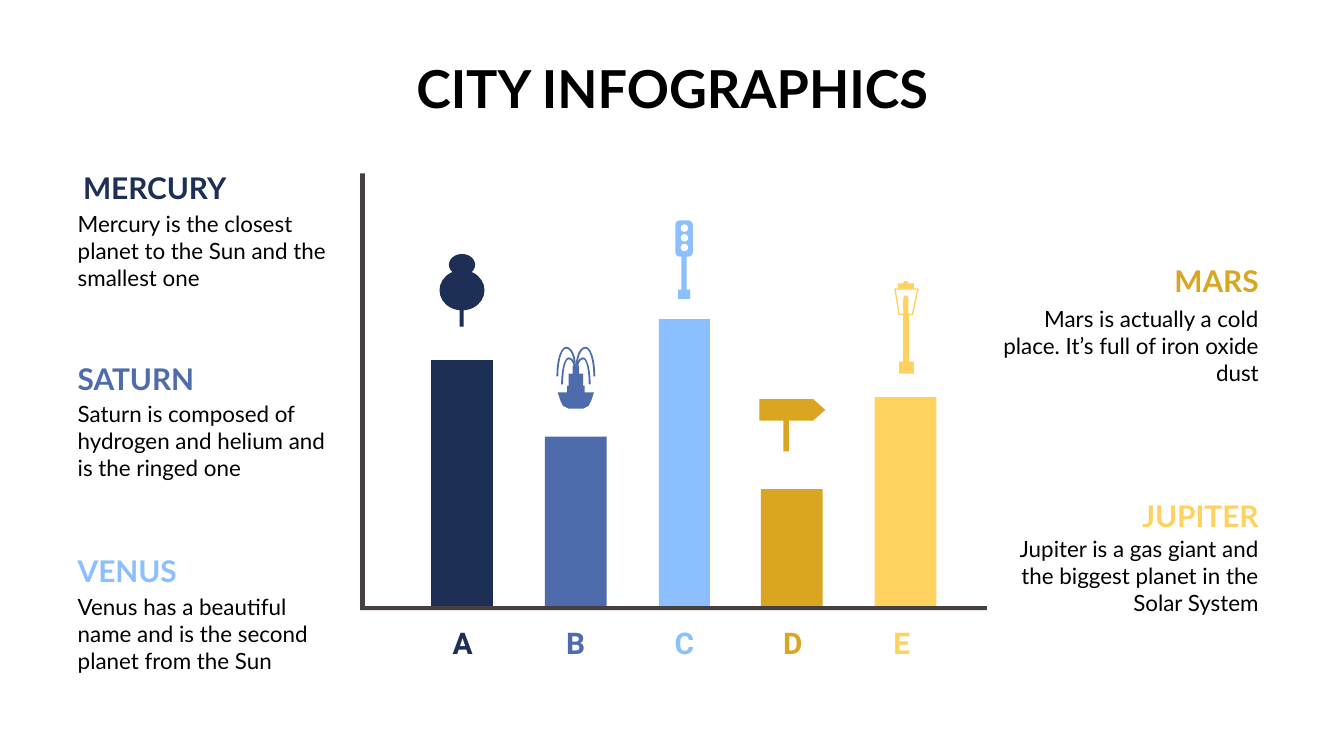
import math
from pptx import Presentation
from pptx import util as u
from pptx.dml.color import RGBColor
from pptx.enum import shapes, text

# Theme: colours, fonts and type sizes
THEME = {
    "navy": "1E2F55", "blue": "4E6BAC", "sky": "8BBFFF", "ochre": "DAA622",
    "yellow": "FFD25F", "axis": "483F42", "black": "000000", "white": "FFFFFF",
    "font": "Lato", "label_font": "Roboto", "title": 28, "heading": 16, "body": 12,
}

# Grid: 100 columns of square cells across the slide
COLS, ROWS = 100, 56.25
CELL = u.Inches(10) / COLS
BASELINE = 45.1

# Content
TITLE = "CITY INFOGRAPHICS"
# letter, colour, column centre, bar offset, bar width, bar height
BARS = [
    ("A", "navy", 34.43, -0.05, 4.6, 18.3),
    ("B", "blue", 42.84, 0, 4.6, 12.6),
    ("C", "sky", 50.92, 0, 3.8, 21.35),
    ("D", "ochre", 59, -0.08, 4.6, 8.7),
    ("E", "yellow", 67.1, 0.28, 4.6, 15.55),
]
# name, colour, description, side, heading indent, heading row, gap to description
PLANETS = [
    ("MERCURY", "navy", "Mercury is the closest planet to the Sun and the smallest one",
     "left", 0.4, 11.2, 3.45),
    ("SATURN", "blue", "Saturn is composed of hydrogen and helium and is the ringed one",
     "left", 0, 25.4, 3.4),
    ("VENUS", "sky", "Venus has a beautiful name and is the second planet from the Sun",
     "left", 0, 39.7, 3.45),
    ("MARS", "ochre", "Mars is actually a cold place. It’s full of iron oxide dust",
     "right", 0, 18.15, 3.55),
    ("JUPITER", "yellow", "Jupiter is a gas giant and the biggest planet in the Solar System",
     "right", 0, 35.6, 3.25),
]
LEFT_EDGE, RIGHT_EDGE = 4.8, 94.64
HEADING_W, BODY_W = 14.3, 21.1
AXIS = [(26.8, 12.9), (26.8, 45.4), (73.43, 45.4), (73.43, 45.1), (27.15, 45.1), (27.15, 12.9)]

# Icon parts: (kind, colour, left, top, width, height), back to front
RECT, OVAL = shapes.MSO_SHAPE.RECTANGLE, shapes.MSO_SHAPE.OVAL
ROUND, SIGN = shapes.MSO_SHAPE.ROUNDED_RECTANGLE, shapes.MSO_SHAPE.PENTAGON
PILL = shapes.MSO_SHAPE.FLOWCHART_TERMINATOR
ICONS = {
    "tree": [(RECT, "navy", 34.2, 20.9, 0.3, 3.4), (OVAL, "navy", 32.7, 20.1, 3.35, 3),
             (OVAL, "navy", 33.4, 18.9, 1.95, 1.6)],
    "traffic light": [(RECT, "sky", 50.7, 17, 0.4, 5.1), (RECT, "sky", 50.45, 21.55, 0.9, 0.7),
                      (ROUND, "sky", 50.25, 16.4, 1.3, 2.7)]
                     + [(OVAL, "white", 50.65, 16.7 + 0.72 * i, 0.55, 0.55) for i in range(3)],
    "street lamp": [(PILL, "yellow", 67.2, 22, 0.4, 1.4), (RECT, "yellow", 67.2, 23.3, 0.45, 4.3),
                    (RECT, "yellow", 66.9, 26.9, 1.1, 0.9), (RECT, "yellow", 66.8, 21.1, 1.2, 0.4),
                    (OVAL, "yellow", 67.2, 20.9, 0.4, 0.4)],
    "signpost": [(RECT, "ochre", 58.3, 31, 0.4, 2.6), (SIGN, "ochre", 56.5, 29.7, 4.9, 1.6)],
    "fountain": [(RECT, "blue", 42.6, 27.2, 0.5, 0.7), (RECT, "blue", 42.3, 27.8, 1.1, 0.95),
                 (RECT, "blue", 42.2, 28.7, 1.3, 0.6)],
}
CORNERS = {ROUND: 0.25, SIGN: 0.56}
LAMP_GLASS = [(67.9, 23.4), (66.9, 23.4), (66.6, 21.5), (68.3, 21.5)]
BASIN = [(41.5, 29.2), (41.7, 29.8), (41.9, 30.2), (42.3, 30.4),
         (43.4, 30.4), (43.8, 30.2), (44, 29.8), (44.2, 29.2)]
FOUNTAIN_X = 42.85
# apex row, foot row at the centre, foot row outside, span
JETS = [(25.8, 27.2, 28, 1.45), (26.6, 27.5, 28.6, 1.1)]


def cells(*values):
    return [u.Emu(round(v * CELL)) for v in values]


def rgb(name):
    return RGBColor.from_string(THEME[name])


def paint(sp, colour):
    sp.shadow.inherit = False
    sp.fill.solid()
    sp.fill.fore_color.rgb = rgb(colour)
    sp.line.fill.background()
    return sp


def add_shape(parent, kind, colour, *box):
    sp = paint(parent.add_shape(kind, *cells(*box)), colour)
    if kind in CORNERS:
        sp.adjustments[0] = CORNERS[kind]
    return sp


def add_outline(parent, points, colour):
    pts = [cells(*pt) for pt in points]
    builder = parent.build_freeform(*pts[0])
    builder.add_line_segments(pts[1:], close=True)
    return paint(builder.convert_to_shape(), colour)


def add_text(parent, content, box, size="body", colour="black", font="font",
             bold=False, align="left", spacing=None, after=0):
    tf = parent.add_textbox(*cells(*box)).text_frame
    tf.word_wrap = True
    tf.margin_left = tf.margin_right = tf.margin_top = tf.margin_bottom = u.Inches(0.1)
    p = tf.paragraphs[0]
    p.alignment = text.PP_ALIGN[align.upper()]
    p.line_spacing, p.space_after = spacing, u.Pt(after)
    r = p.add_run()
    r.text = content
    r.font.name, r.font.size, r.font.bold = THEME[font], u.Pt(THEME[size]), bold
    r.font.color.rgb = rgb(colour)


def jet(side, apex, inner_foot, outer_foot, span, thick=0.14, steps=12):
    """Thin arch that springs from the fountain's axis towards one side."""
    def arch(inset):
        radius = span / 2 - inset
        for i in range(steps + 1):
            a = math.pi * i / steps
            foot = inner_foot if i < steps / 2 else outer_foot
            yield (FOUNTAIN_X + side * (span / 2 - radius * math.cos(a)),
                   foot - (foot - apex - inset) * math.sin(a))
    return list(arch(0)) + list(arch(thick))[::-1]


prs = Presentation()
prs.slide_width, prs.slide_height = cells(COLS, ROWS)
slide = prs.slides.add_slide(prs.slide_layouts[6])
canvas = slide.shapes

# Title
add_text(canvas, TITLE, (3.4, 3.2, 93.2, 6.3), size="title", bold=True, align="center")

# Icons, one group each
for name, parts in ICONS.items():
    group = canvas.add_group_shape()
    for part in parts:
        add_shape(group.shapes, *part)
    if name == "street lamp":
        glass = add_outline(group.shapes, LAMP_GLASS, "yellow")
        glass.fill.background()
        glass.line.color.rgb, glass.line.width = rgb("yellow"), u.Pt(0.75)
    elif name == "fountain":
        add_outline(group.shapes, BASIN, "blue")
        for side in (1, -1):
            for size in JETS:
                add_outline(group.shapes, jet(side, *size), "blue")

# Bars, letters and axis
for letter, colour, centre, offset, width, height in BARS:
    add_shape(canvas, RECT, colour, centre + offset - width / 2, BASELINE - height, width, height)
    add_text(canvas, letter, (centre - 2.3, BASELINE, 4.6, 6.5), size="heading", colour=colour,
             font="label_font", bold=True, align="center", spacing=1.15, after=16)
add_outline(canvas, AXIS, "axis")

# Planet notes
for name, colour, note, side, indent, row, gap in PLANETS:
    on_left = side == "left"
    heading_x = LEFT_EDGE + indent if on_left else RIGHT_EDGE - HEADING_W
    body_x = LEFT_EDGE if on_left else RIGHT_EDGE - BODY_W
    add_text(canvas, name, (heading_x, row, HEADING_W, 4.2), size="heading", colour=colour,
             bold=True, align=side, spacing=1.15, after=16)
    add_text(canvas, note, (body_x, row + gap, BODY_W, 6.3), align=side)

prs.save("out.pptx")
